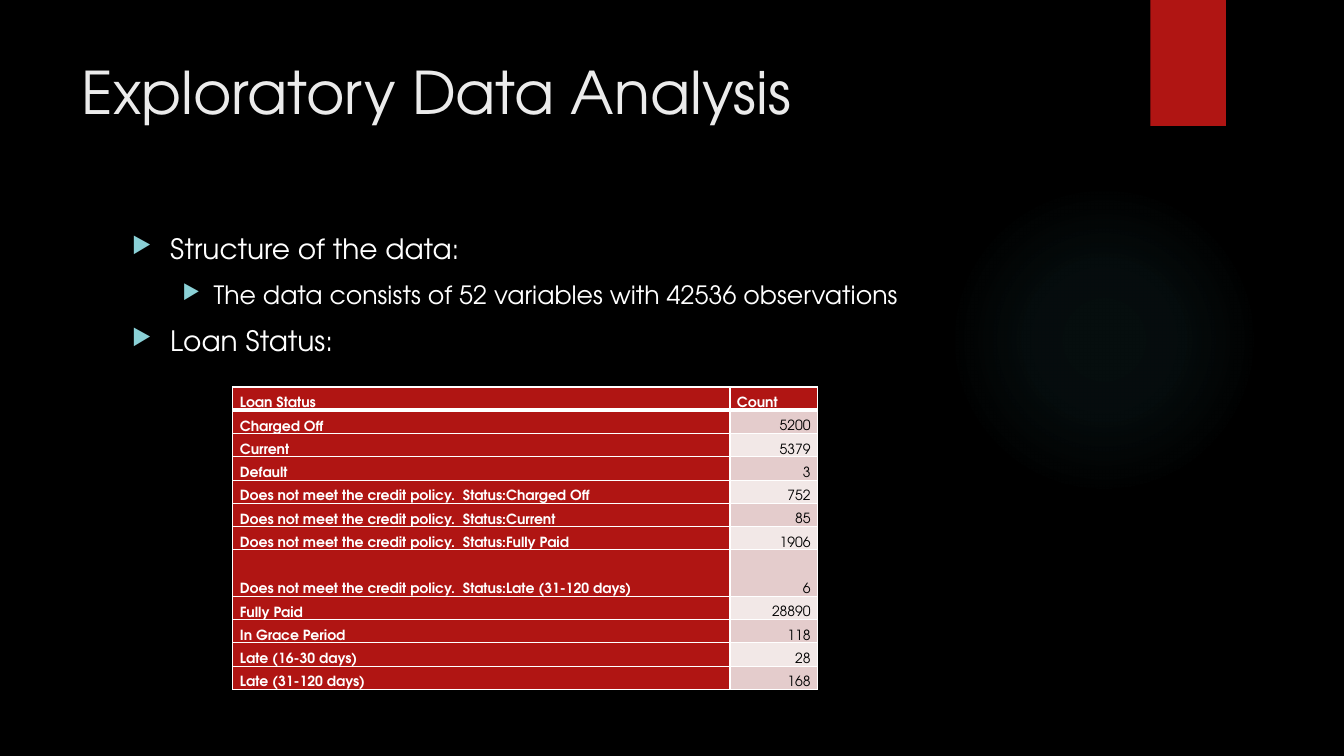
from dataclasses import dataclass

from pptx import Presentation
from pptx.dml.color import RGBColor
from pptx.enum.shapes import MSO_SHAPE
from pptx.enum.text import MSO_ANCHOR, PP_ALIGN
from pptx.oxml import parse_xml
from pptx.oxml.ns import nsdecls
from pptx.util import Emu, Inches, Pt

OVAL, RECTANGLE = MSO_SHAPE.OVAL, MSO_SHAPE.RECTANGLE
BOTTOM = MSO_ANCHOR.BOTTOM
LEFT, RIGHT = PP_ALIGN.LEFT, PP_ALIGN.RIGHT


@dataclass(frozen=True)
class Theme:
    font: str = "TeX Gyre Adventor"
    background: str = "000000"
    accent: str = "B01513"
    glow: str = "50B9C1"
    bullet: str = "8AD0D6"
    title: str = "EBEBEB"
    light: str = "FFFFFF"
    dark: str = "000000"
    bands: tuple = ("E4CCCC", "F2E8E7")
    title_size: int = 42
    body_sizes: tuple = (20, 18)
    table_size: int = 10


THEME = Theme()

# Left indent and bullet hang of each outline level, in inches
INDENTS = ((0.38, 0.38), (0.81, 0.31))

OUTLINE = (
    (0, "Structure of the data:"),
    (1, "The data consists of 52 variables with 42536 observations"),
    (0, "Loan Status:"),
)

LOAN_STATUS = (
    ("Loan Status", "Count"),
    ("Charged Off", "5200"),
    ("Current", "5379"),
    ("Default", "3"),
    ("Does not meet the credit policy.  Status:Charged Off", "752"),
    ("Does not meet the credit policy.  Status:Current", "85"),
    ("Does not meet the credit policy.  Status:Fully Paid", "1906"),
    ("Does not meet the credit policy.  Status:Late (31-120 days)", "6"),
    ("Fully Paid", "28890"),
    ("In Grace Period", "118"),
    ("Late (16-30 days)", "28"),
    ("Late (31-120 days)", "168"),
)
TALL_ROW = 7
STATUS_SHARE = 0.85


def rgb(color):
    return RGBColor.from_string(color)


def box(left, top, width, height):
    return tuple(Inches(length) for length in (left, top, width, height))


def write(paragraph, text, size, color, bold=False, align=LEFT,
          before=0, line_spacing=1.0):
    paragraph.alignment = align
    paragraph.space_before = Pt(before)
    paragraph.line_spacing = line_spacing
    run = paragraph.add_run()
    run.text = text
    run.font.name = THEME.font
    run.font.size = Pt(size)
    run.font.bold = bold
    run.font.color.rgb = rgb(color)


def add_panel(slide, kind, area, color):
    panel = slide.shapes.add_shape(kind, *area)
    panel.shadow.inherit = False
    panel.fill.solid()
    panel.fill.fore_color.rgb = rgb(color)
    panel.line.fill.background()
    return panel


def add_glow(slide, area):
    glow = add_panel(slide, OVAL, area, THEME.glow)
    stops = "".join(
        f'<a:gs pos="{position * 1000}"><a:srgbClr val="{THEME.glow}">'
        f'<a:alpha val="{alpha * 1000}"/></a:srgbClr></a:gs>'
        for position, alpha in ((0, 7), (36, 6), (69, 0), (100, 0)))
    gradient = parse_xml(
        f'<a:gradFill {nsdecls("a")} rotWithShape="1"><a:gsLst>{stops}</a:gsLst>'
        '<a:path path="circle"><a:fillToRect l="50000" t="50000" r="50000" '
        'b="50000"/></a:path></a:gradFill>')
    properties = glow.element.spPr
    properties.replace(properties.find("{*}solidFill"), gradient)


def add_ribbon(slide, area):
    ribbon = add_panel(slide, RECTANGLE, area, THEME.accent)
    ribbon.element.spPr.find("{*}effectLst").append(parse_xml(
        f'<a:outerShdw {nsdecls("a")} blurRad="{Pt(3)}" dist="{Pt(2)}" '
        'dir="5400000" rotWithShape="0"><a:srgbClr val="000000">'
        '<a:alpha val="45000"/></a:srgbClr></a:outerShdw>'))


def add_text_frame(slide, area):
    frame = slide.shapes.add_textbox(*area).text_frame
    frame.word_wrap = True
    return frame


def add_title(slide, area, text):
    frame = add_text_frame(slide, area)
    write(frame.paragraphs[0], text, THEME.title_size, THEME.title)


def add_bullet(paragraph, level):
    indent, hang = INDENTS[level]
    paragraph.level = level
    properties = paragraph._p.get_or_add_pPr()
    properties.set("marL", str(Inches(indent)))
    properties.set("indent", str(-Inches(hang)))
    for mark in (f'buClr {nsdecls("a")}><a:srgbClr val="{THEME.bullet}"/></a:buClr>',
                 f'buSzPct {nsdecls("a")} val="80000"/>',
                 f'buChar {nsdecls("a")} char="▶"/>'):
        properties.append(parse_xml("<a:" + mark))


def add_outline(slide, area, items):
    frame = add_text_frame(slide, area)
    for index, (level, text) in enumerate(items):
        paragraph = frame.add_paragraph() if index else frame.paragraphs[0]
        write(paragraph, text, THEME.body_sizes[level], THEME.light, before=10)
        add_bullet(paragraph, level)


def set_borders(cell, top=1, bottom=1):
    widths = {"lnL": 1, "lnR": 1, "lnT": top, "lnB": bottom}
    for index, (side, width) in enumerate(widths.items()):
        cell._tc.get_or_add_tcPr().insert(index, parse_xml(
            f'<a:{side} {nsdecls("a")} w="{Pt(width)}"><a:solidFill>'
            f'<a:srgbClr val="{THEME.light}"/></a:solidFill></a:{side}>'))


def add_loan_table(slide, area, records):
    left, top, width, height = area
    table = slide.shapes.add_table(len(records), 2, *area).table
    for column, share in zip(table.columns, (STATUS_SHARE, 1 - STATUS_SHARE)):
        column.width = Emu(round(width * share))
    unit = height / (len(records) + 1)
    for row, record in enumerate(records):
        table.rows[row].height = Emu(round(unit * (2 if row == TALL_ROW else 1)))
        for column, text in enumerate(record):
            cell = table.cell(row, column)
            is_count = row > 0 and column == 1
            cell.vertical_anchor = BOTTOM
            cell.margin_left = cell.margin_right = Inches(0.07)
            cell.margin_top = cell.margin_bottom = 0
            cell.fill.solid()
            cell.fill.fore_color.rgb = rgb(
                THEME.bands[(row - 1) % 2] if is_count else THEME.accent)
            set_borders(cell, top=3 if row == 1 else 1, bottom=3 if row == 0 else 1)
            write(cell.text_frame.paragraphs[0], text, THEME.table_size,
                  THEME.dark if is_count else THEME.light, bold=not is_count,
                  align=RIGHT if is_count else LEFT, line_spacing=1.07)


def main():
    deck = Presentation()
    deck.slide_width, deck.slide_height = Inches(13.33), Inches(7.5)
    slide = deck.slides.add_slide(deck.slide_layouts[6])
    slide.background.fill.solid()
    slide.background.fill.fore_color.rgb = rgb(THEME.background)

    # Backdrop
    add_glow(slide, box(9.41, 1.83, 3.08, 3.08))
    add_ribbon(slide, box(11.41, 0, 0.75, 1.25))

    # Content
    add_title(slide, box(0.71, 0.5, 10.29, 1.53), "Exploratory Data Analysis")
    add_outline(slide, box(1.21, 2.25, 9.78, 4.59), OUTLINE)
    add_loan_table(slide, box(2.31, 3.84, 5.8, 3), LOAN_STATUS)

    deck.save("out.pptx")


if __name__ == "__main__":
    main()
